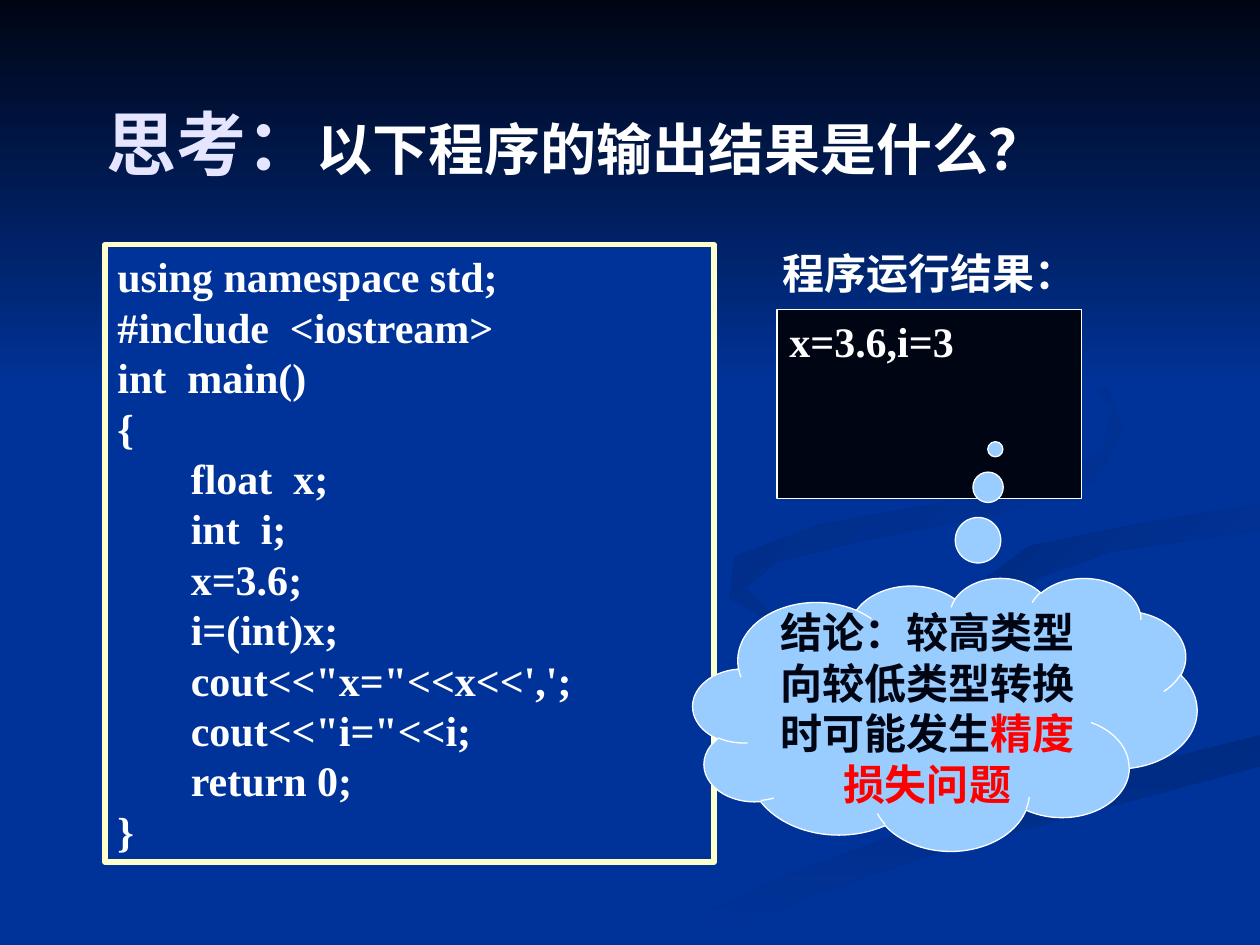
"""Build the slide on the output of a float to int conversion."""
from lxml.etree import SubElement
from pptx import Presentation
from pptx.dml.color import RGBColor
from pptx.enum.shapes import MSO_SHAPE as Preset
from pptx.enum.text import MSO_ANCHOR as Anchor, PP_ALIGN as Align
from pptx.oxml.ns import qn
from pptx.util import Inches, Pt

THEME = {
    "blue": "003399", "night": "000514", "cream": "FFFFCC", "white": "FFFFFF",
    "lilac": "E5E5FF", "sky": "99CCFF", "red": "FF0000", "shade": "002B82",
    "title": 40, "question": 32, "body": 24, "leading": 28.8,
    "serif": "Times New Roman", "label": "Cabin", "sans": "Arial", "chinese": "Noto Sans CJK SC",
}

deck = Presentation()
deck.slide_width, deck.slide_height = Inches(10), Inches(7.5)
COLUMN, ROW = deck.slide_width / 120, deck.slide_height / 90
page = deck.slides.add_slide(deck.slide_layouts[6])
page.background.fill.solid()
page.background.fill.fore_color.rgb = RGBColor.from_string(THEME["blue"])

# start colour, end colour, angle, outline in columns and rows
RIBBONS = [
    ("shade", "blue", 90, [
        (60, 90), (68, 90), (78, 85), (90, 81), (120, 73), (120, 70), (92, 77), (76, 83)]),
    ("shade", "blue", 45, [
        (94, 55), (96, 58), (99, 59.5), (97, 57), (99, 55), (106, 52.5), (120, 50.5),
        (120, 48), (108, 50), (98, 52)]),
    ("shade", "blue", 45, [
        (82, 51.5), (95, 49), (104, 46), (107, 41), (105, 36), (99, 31), (92, 28),
        (101, 33), (106, 39), (105, 43), (100, 46), (78, 50), (70, 53), (69.5, 57),
        (75, 60), (71, 56), (74, 53.5)]),
    ("night", "blue", 90, [(0, 0), (0, 37), (120, 37), (120, 0)]),
]
for start, end, angle, outline in RIBBONS:
    points = [(round(x * COLUMN), round(y * ROW)) for x, y in outline]
    builder = page.shapes.build_freeform(*points[0])
    builder.add_line_segments(points[1:], close=True)
    ribbon = builder.convert_to_shape()
    ribbon.shadow.inherit = False
    ribbon.line.fill.background()
    ribbon.fill.gradient()
    ribbon.fill.gradient_angle = -angle % 360
    for stop, color in zip(ribbon.fill.gradient_stops, (start, end)):
        stop.color.rgb = RGBColor.from_string(THEME[color])


def add_panel(preset, cells, fill, line, width=0.75):
    """Add a filled and outlined shape on the grid."""
    left, top, wide, high = cells
    panel = page.shapes.add_shape(
        preset, round(left * COLUMN), round(top * ROW), round(wide * COLUMN), round(high * ROW))
    panel.shadow.inherit = False
    panel.fill.solid()
    panel.fill.fore_color.rgb = RGBColor.from_string(THEME[fill])
    panel.line.color.rgb = RGBColor.from_string(THEME[line])
    panel.line.width = Pt(width)
    return panel


def write(box, paragraphs, align=Align.LEFT, anchor=Anchor.TOP, leading=THEME["leading"]):
    """Write paragraphs of (text, size, font, colour) spans."""
    frame = box.text_frame
    frame.word_wrap = True
    frame.vertical_anchor = anchor
    for index, spans in enumerate(paragraphs):
        para = frame.add_paragraph() if index else frame.paragraphs[0]
        para.alignment = align
        if leading:
            para.line_spacing = Pt(leading)
        for text, size, font, color in spans:
            span = para.add_run()
            span.text = text
            span.font.size = Pt(THEME[size])
            span.font.name = THEME[font]
            span.font.bold = True
            span.font.color.rgb = RGBColor.from_string(THEME[color])
            east = SubElement(span.font._element, qn("a:ea"))
            east.set("typeface", THEME["chinese"])


CODE = """using namespace std;
#include  <iostream>
int  main()
{
       float  x;
       int  i;
       x=3.6;
       i=(int)x;
       cout<<"x="<<x<<',';
       cout<<"i="<<i;
       return 0;
}"""
code = add_panel(Preset.RECTANGLE, (10, 23.3, 58, 58.8), "blue", "cream", 3)
write(code, [[(line, "body", "serif", "white")] for line in CODE.splitlines()])

title = page.shapes.add_textbox(*(round(n * COLUMN) for n in (9, 9, 100, 12)))
write(title, [[("思考：", "title", "chinese", "lilac"),
               ("以下程序的输出结果是什么？", "question", "chinese", "white")]], leading=None)

console = add_panel(Preset.RECTANGLE, (74, 29.5, 29, 18), "night", "white")
write(console, [[("x=3.6,i=3", "body", "serif", "white")]])

label = page.shapes.add_textbox(*(round(n * COLUMN) for n in (69.5, 23, 38, 6)))
write(label, [[("程序运行结果：", "body", "label", "white")]], Align.CENTER)

cloud = add_panel(Preset.CLOUD_CALLOUT, (66, 55, 48, 26), "sky", "white")
cloud.adjustments[0], cloud.adjustments[1] = 0.1, -0.97
write(cloud, [[("结论：较高类型向较低类型转换时可能发生", "body", "serif", "night"),
               ("精度损失问题", "body", "sans", "red")]], Align.CENTER, Anchor.MIDDLE)

deck.save("out.pptx")
